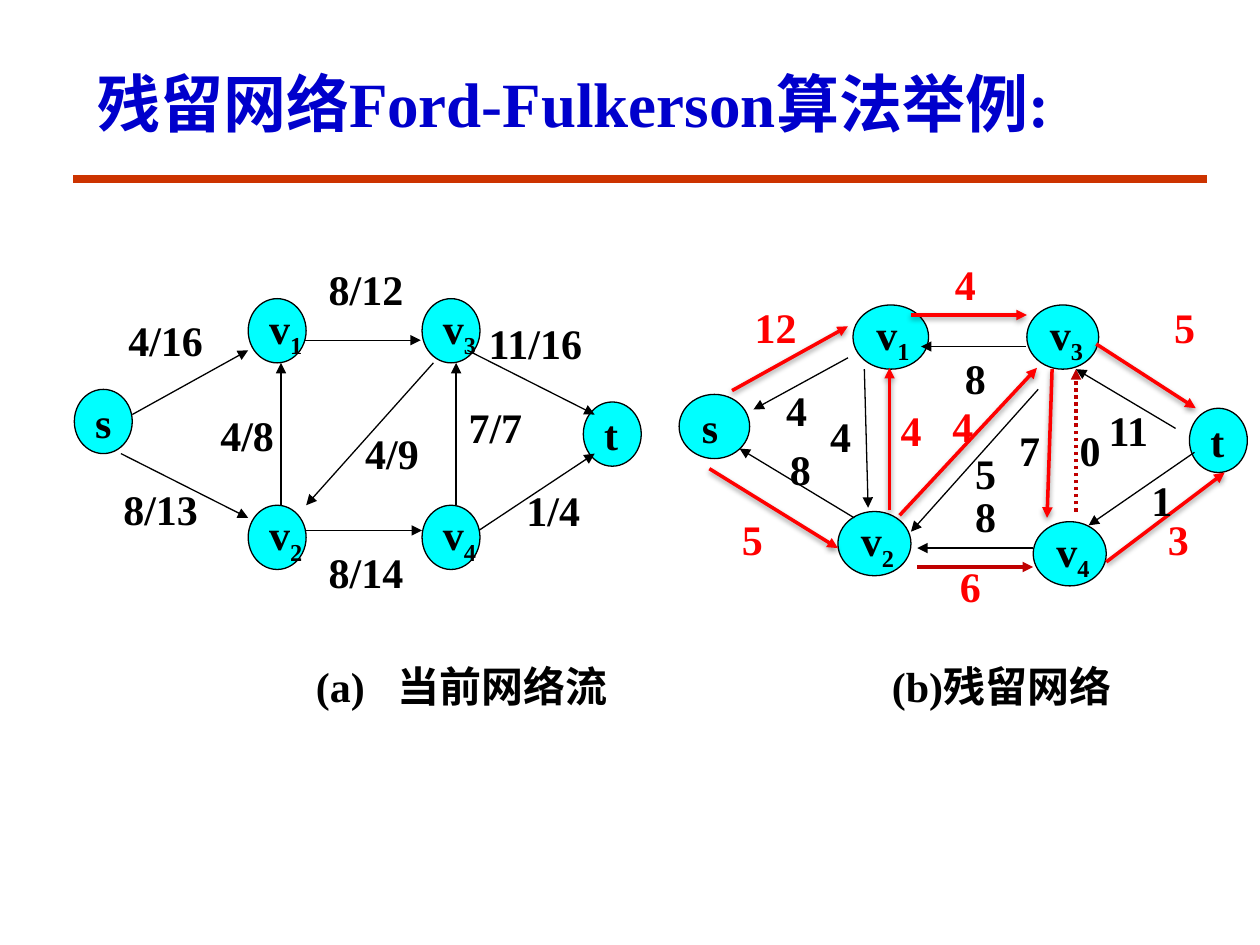
"""Build a slide comparing a network flow with its residual network."""
import pptx
import pptx.dml.color
import pptx.enum.dml
import pptx.enum.shapes
import pptx.enum.text
import pptx.oxml
import pptx.oxml.ns
import pptx.util
from lxml import etree

COLORS = {"title": "0000CC", "rule": "CC3300", "node": "00FFFF", "text": "000000",
          "edge": "000000", "path": "FF0000", "back": "C00000"}
GRID_COLUMNS, GRID_ROWS = 100, 75
CELL = pptx.util.Inches(0.1)
NODE_HEIGHT, LABEL_HEIGHT = 5.1, 5
LABEL_MARGINS, DIGIT_WIDTH, SLASH_WIDTH = 2, 1.67, 0.93
BODY_FONT = {"name": "Times New Roman", "size": pptx.util.Pt(24), "bold": True}
TITLE_FONT = {**BODY_FONT, "size": pptx.util.Pt(36)}
LINE_WIDTHS = {"rule": 4.5, "edge": 0.75, "path": 2, "back": 2}
TOP = pptx.enum.text.MSO_ANCHOR.TOP
MIDDLE = pptx.enum.text.MSO_ANCHOR.MIDDLE

TITLE = ("残留网络Ford-Fulkerson算法举例:", (6.7, 4.4, 83, 7.5))
RULE = (5.8, 14.2, 95.8, 14.2)
CAPTION = ("(a)\t当前网络流\t(b)残留网络", (24.1, 51.9, 67.7, 5.1))
CAPTION_TABS = (6.5, 45.7)

FLOW = {
    "nodes": [("s", 5.9, 30.9, 4.6), ("v1", 19.7, 23.7, 4.6), ("v2", 19.7, 40.1, 4.6),
              ("v3", 33.5, 23.7, 4.6), ("v4", 33.5, 40.1, 4.6), ("t", 46.3, 31.9, 4.6)],
    "edges": [("edge", 10.5, 32.9, 19.7, 27.8), ("edge", 24.2, 27, 33.4, 27),
              ("edge", 37.1, 27.8, 47.2, 32.9), ("edge", 9.6, 36, 19.7, 41.1),
              ("edge", 24.3, 42.1, 33.5, 42.1), ("edge", 38, 42.1, 47.2, 36),
              ("edge", 22.3, 40.1, 22.3, 28.8), ("edge", 36.2, 40.1, 36.2, 28.8),
              ("edge", 34.4, 28.8, 24.3, 40.1)],
    "labels": [("4/9", "text", 28, 33.4), ("4/16", "text", 9.2, 24.5),
               ("8/13", "text", 8.8, 37.9), ("8/12", "text", 25.1, 20.4),
               ("4/8", "text", 16.5, 32), ("11/16", "text", 37.8, 24.7),
               ("1/4", "text", 40.8, 38), ("7/7", "text", 36.2, 31.4),
               ("8/14", "text", 25.1, 42.9)],
}
RESIDUAL = {
    "nodes": [("s", 53.9, 31.3, 5.6), ("v1", 67.7, 24.2, 6), ("v2", 66.5, 40.6, 5.8),
              ("v3", 81.5, 24.2, 5.7), ("v4", 82, 41.4, 5.8), ("t", 94.4, 32.4, 4.6)],
    "edges": [("edge", 67.3, 28.4, 59.8, 32.5), ("path", 58.1, 31, 67.3, 25.9),
              ("path", 72.3, 25, 81.5, 25), ("path", 87, 27.3, 94.9, 32.4),
              ("path", 56.3, 37.2, 66.5, 43.5), ("back", 72.8, 45, 82, 45),
              ("path", 70.6, 40.5, 70.6, 29.2), ("back", 85.4, 40.6, 85.4, 29.3),
              ("edge", 82.4, 30.9, 72.3, 42.2), ("edge", 81.4, 27.5, 73.1, 27.5),
              ("path", 71.4, 40.9, 82.3, 29.2), ("edge", 82, 43.5, 72.8, 43.5),
              ("edge", 94.8, 35.9, 86.4, 41.7), ("path", 87.8, 44.6, 97.2, 37.5),
              ("path", 83.5, 29.3, 83.1, 41.1), ("edge", 93.3, 34, 85.4, 29.3),
              ("edge", 68.6, 29.3, 68.9, 40.3), ("edge", 67.8, 41.1, 58.7, 35.6)],
    "labels": [("5", "text", 76.4, 35), ("12", "path", 58.9, 23.4), ("5", "path", 57.9, 40.3),
               ("4", "path", 74.8, 20), ("4", "text", 64.9, 32.1), ("5", "path", 92.2, 23.4),
               ("1", "text", 90.4, 37.2), ("7", "text", 79.9, 33.2), ("6", "path", 75.2, 44),
               ("4", "text", 61.4, 30), ("8", "text", 75.6, 27.5), ("4", "path", 74.6, 31.3),
               ("8", "text", 76.4, 38.4), ("11", "text", 87, 31.6), ("3", "path", 91.7, 40.3),
               ("0", "text", 84.7, 33.2), ("8", "text", 61.7, 34.7), ("4", "path", 70.5, 31.6)],
}
DOTTED_EDGE = ("back", 85.4, 40.6, 85.4, 29.3)
SHADOW = ('<a:outerShdw %s blurRad="40000" dist="20000" dir="5400000" rotWithShape="0">'
          '<a:srgbClr val="000000"><a:alpha val="38000"/></a:srgbClr></a:outerShdw>'
          % pptx.oxml.ns.nsdecls("a"))


def cells(*lengths):
    return [int(length * CELL) for length in lengths]


def rgb(role):
    return pptx.dml.color.RGBColor.from_string(COLORS[role])


def assign(target, values):
    for attribute, value in values.items():
        setattr(target, attribute, value)


def write(holder, parts, role, font=BODY_FONT, anchor=TOP, wrap=False):
    frame = holder.text_frame
    assign(frame, {"word_wrap": wrap, "vertical_anchor": anchor,
                   "auto_size": pptx.enum.text.MSO_AUTO_SIZE.NONE})
    paragraph = frame.paragraphs[0]
    paragraph.alignment = pptx.enum.text.PP_ALIGN.LEFT
    for part in parts:
        run = paragraph.add_run()
        run.text = part
        assign(run.font, font)
        run.font.color.rgb = rgb(role)
    return paragraph


def add_line(shapes, role, *ends, arrow=True):
    line = shapes.add_connector(pptx.enum.shapes.MSO_CONNECTOR.STRAIGHT, *cells(*ends))
    line.line.color.rgb = rgb(role)
    line.line.width = pptx.util.Pt(LINE_WIDTHS[role])
    if (role, *ends) == DOTTED_EDGE:
        line.line.dash_style = pptx.enum.dml.MSO_LINE.ROUND_DOT
    if arrow:
        etree.SubElement(line.line._get_or_add_ln(), pptx.oxml.ns.qn("a:tailEnd"), type="triangle")
    effects = etree.SubElement(line._element.spPr, pptx.oxml.ns.qn("a:effectLst"))
    if role == "path":
        effects.append(pptx.oxml.parse_xml(SHADOW))


def add_node(shapes, name, left, top, width):
    node = shapes.add_shape(pptx.enum.shapes.MSO_SHAPE.OVAL, *cells(left, top, width, NODE_HEIGHT))
    node.shadow.inherit = False
    node.fill.solid()
    node.fill.fore_color.rgb = rgb("node")
    node.line.color.rgb = rgb("edge")
    node.line.width = pptx.util.Pt(LINE_WIDTHS["edge"])
    paragraph = write(node, [part for part in (name[0], name[1:]) if part], "text", anchor=MIDDLE)
    for subscript in paragraph.runs[1:]:
        subscript._r.get_or_add_rPr().set("baseline", "-25000")


def add_label(shapes, capacity, role, left, top):
    slashes = capacity.count("/")
    width = LABEL_MARGINS + DIGIT_WIDTH * (len(capacity) - slashes) + SLASH_WIDTH * slashes
    write(shapes.add_textbox(*cells(left, top, width, LABEL_HEIGHT)), [capacity], role)


def add_network(slide, network):
    shapes = slide.shapes.add_group_shape().shapes
    for part, draw in (("nodes", add_node), ("edges", add_line), ("labels", add_label)):
        for entry in network[part]:
            draw(shapes, *entry)


def main():
    deck = pptx.Presentation()
    assign(deck, {"slide_width": GRID_COLUMNS * CELL, "slide_height": GRID_ROWS * CELL})
    slide = deck.slides.add_slide(deck.slide_layouts[5])
    heading, place = TITLE
    title = slide.shapes.title
    assign(title, dict(zip(("left", "top", "width", "height"), cells(*place))))
    write(title, [heading], "title", TITLE_FONT, MIDDLE, True)
    add_line(slide.shapes, "rule", *RULE, arrow=False)
    add_network(slide, FLOW)
    wording, place = CAPTION
    caption = write(slide.shapes.add_textbox(*cells(*place)), [wording], "text", wrap=True)
    tabs = etree.SubElement(caption._p.get_or_add_pPr(), pptx.oxml.ns.qn("a:tabLst"))
    for position in cells(*CAPTION_TABS):
        etree.SubElement(tabs, pptx.oxml.ns.qn("a:tab"), pos=str(position), algn="l")
    add_network(slide, RESIDUAL)
    deck.save("out.pptx")


if __name__ == "__main__":
    main()
